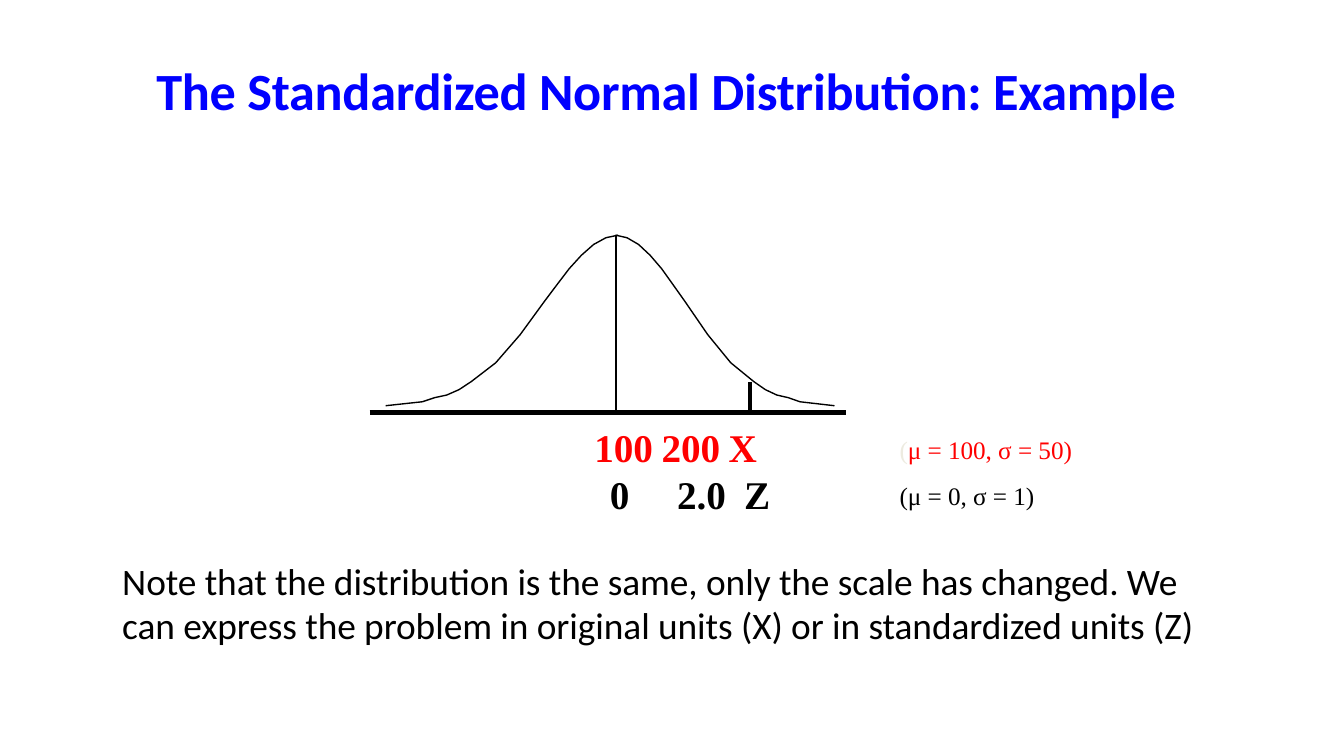
from dataclasses import dataclass

from lxml.etree import SubElement
from pptx import Presentation
from pptx.dml.color import RGBColor as Rgb
from pptx.enum.shapes import MSO_CONNECTOR as Link, MSO_SHAPE as Kind
from pptx.enum.text import MSO_ANCHOR as Anchor, PP_ALIGN as Align
from pptx.oxml.ns import qn
from pptx.util import Pt


@dataclass(frozen=True)
class Theme:
    blue: Rgb = Rgb(0x00, 0x00, 0xFF)
    red: Rgb = Rgb(0xFF, 0x00, 0x00)
    black: Rgb = Rgb(0x00, 0x00, 0x00)
    white: Rgb = Rgb(0xFF, 0xFF, 0xFF)
    pale: Rgb = Rgb(0xED, 0xEB, 0xE0)
    sans: str = "Calibri"
    serif: str = "Times New Roman"
    head: float = 28
    scale: float = 21
    note: float = 20
    param: float = 13.5


theme = Theme()

# Steps along one half of the bell, from tail to peak, and drops below the peak.
STEPS = (0, 2, 3, 4, 5, 6, 7, 9, 11, 13, 14, 15, 16, 17, 18, 19)
DROPS = (91.4, 90, 89.3, 87.1, 85.7, 82.8, 78.5, 68.4,
         53.3, 35.3, 26.6, 18, 10.8, 5, 1.4, 0)


def set_frame(shape, top):
    frame = shape.text_frame
    frame.word_wrap = True
    frame.vertical_anchor = Anchor.TOP
    frame.margin_left = frame.margin_right = frame.margin_bottom = 0
    frame.margin_top = Pt(top)
    return frame


def add_frame(slide, box, top):
    return set_frame(slide.shapes.add_textbox(*map(Pt, box)), top)


def set_para(para, left, before, tabs=()):
    """Set indent, space before and tab stops, all in points."""
    para.alignment = Align.LEFT
    para.space_before = Pt(before)
    props = para._p.get_or_add_pPr()
    props.set("marL", str(Pt(left)))
    props.set("indent", "0")
    if tabs:
        stops = SubElement(props, qn("a:tabLst"))
        for stop in tabs:
            SubElement(stops, qn("a:tab"), pos=str(Pt(stop)), algn="l")


def style(run, face, size, color, bold=False, space=0):
    font = run.font
    font.name, font.size, font.bold = face, Pt(size), bold
    font.color.rgb = color
    if space:
        run._r.get_or_add_rPr().set("spc", str(space))


def add_title(slide, box):
    para = add_frame(slide, box, 0.9).paragraphs[0]
    para.text = "The Standardized Normal Distribution: Example"
    set_para(para, 0.9, 0.9)
    style(para.runs[0], theme.sans, theme.head, theme.blue, True, -10)


def add_line(group, start, end, width):
    line = group.shapes.add_connector(Link.STRAIGHT, *map(Pt, start + end))
    line.line.color.rgb = theme.black
    line.line.width = Pt(width)
    SubElement(line._element.spPr, qn("a:effectLst"))


def add_bell(group, left, top, tails, peaks):
    """Draw both halves of the bell, each from its tail to its peak."""
    halves = [
        [(Pt(left + tail + (peak - tail) * step / STEPS[-1]), Pt(top + drop))
         for step, drop in zip(STEPS, DROPS)]
        for tail, peak in zip(tails, peaks)
    ]
    rise, fall = halves
    pen = group.shapes.build_freeform(*rise[0])
    pen.add_line_segments(rise[1:], close=False)
    pen.move_to(*fall[0])
    pen.add_line_segments(fall[1:], close=False)
    bell = pen.convert_to_shape()
    bell.shadow.inherit = False
    bell.fill.background()
    bell.line.color.rgb = theme.black
    bell.line.width = Pt(0.75)


def add_plot(slide, box):
    left, top, width, height = box
    group = slide.shapes.add_group_shape()
    add_bell(group, left, top, (8.6, 249.1), (133.2, 131.8))
    base = top + height
    mean, mark = left + 131.8, left + 203.8
    add_line(group, (left, base), (left + width, base), 2.25)
    add_line(group, (mean, top), (mean, base), 1)
    add_line(group, (mark, base - 16.5), (mark, base), 2.25)


def add_scales(slide, box):
    frame = add_frame(slide, box, 0.9)
    rows = (
        ("100\t200\tX", theme.red, 0.9, 1, (69, 137)),
        ("0\t2.0\tZ", theme.black, 9.2, 0, (73.4, 137)),
    )
    frame.text = "\n".join(row[0] for row in rows)
    for para, (_, color, left, before, tabs) in zip(frame.paragraphs, rows):
        para.line_spacing = Pt(25.1)
        set_para(para, left, before, tabs)
        for run in para.runs:
            style(run, theme.serif, theme.scale, color, True)


def add_params(slide, box):
    frame = add_frame(slide, box, 9.4)
    rows = (
        (9.7, (("(", theme.pale), ("μ = 100, σ = 50)", theme.red))),
        (8.7, (("(μ = 0, σ = 1)", theme.black),)),
    )
    frame.text = "\n".join("" for _ in rows)
    for para, (before, parts) in zip(frame.paragraphs, rows):
        set_para(para, 0.9, before)
        for text, color in parts:
            run = para.add_run()
            run.text = text
            style(run, theme.serif, theme.param, color)


def add_note(slide, box):
    panel = slide.shapes.add_shape(Kind.RECTANGLE, *map(Pt, box))
    panel.shadow.inherit = False
    panel.fill.solid()
    panel.fill.fore_color.rgb = theme.white
    panel.line.fill.background()
    para = set_frame(panel, 2.2).paragraphs[0]
    para.text = ("Note that the distribution is the same, only the scale has "
                 "changed. We can express the problem in original units (X) "
                 "or in standardized units (Z)")
    set_para(para, 7.2, 2.4)
    style(para.runs[0], theme.sans, theme.note, theme.black, space=-5)


def main():
    deck = Presentation()
    deck.slide_width, deck.slide_height = Pt(720), Pt(405)
    slide = deck.slides.add_slide(deck.slide_layouts[6])
    add_title(slide, (82.8, 30.2, 553.7, 35.3))
    add_plot(slide, (198, 126, 255, 95))
    add_scales(slide, (317.5, 226, 153.4, 51.8))
    add_params(slide, (481, 223.2, 95, 51.8))
    add_note(slide, (58.3, 296.6, 594.7, 55.4))
    deck.save("out.pptx")


if __name__ == "__main__":
    main()
